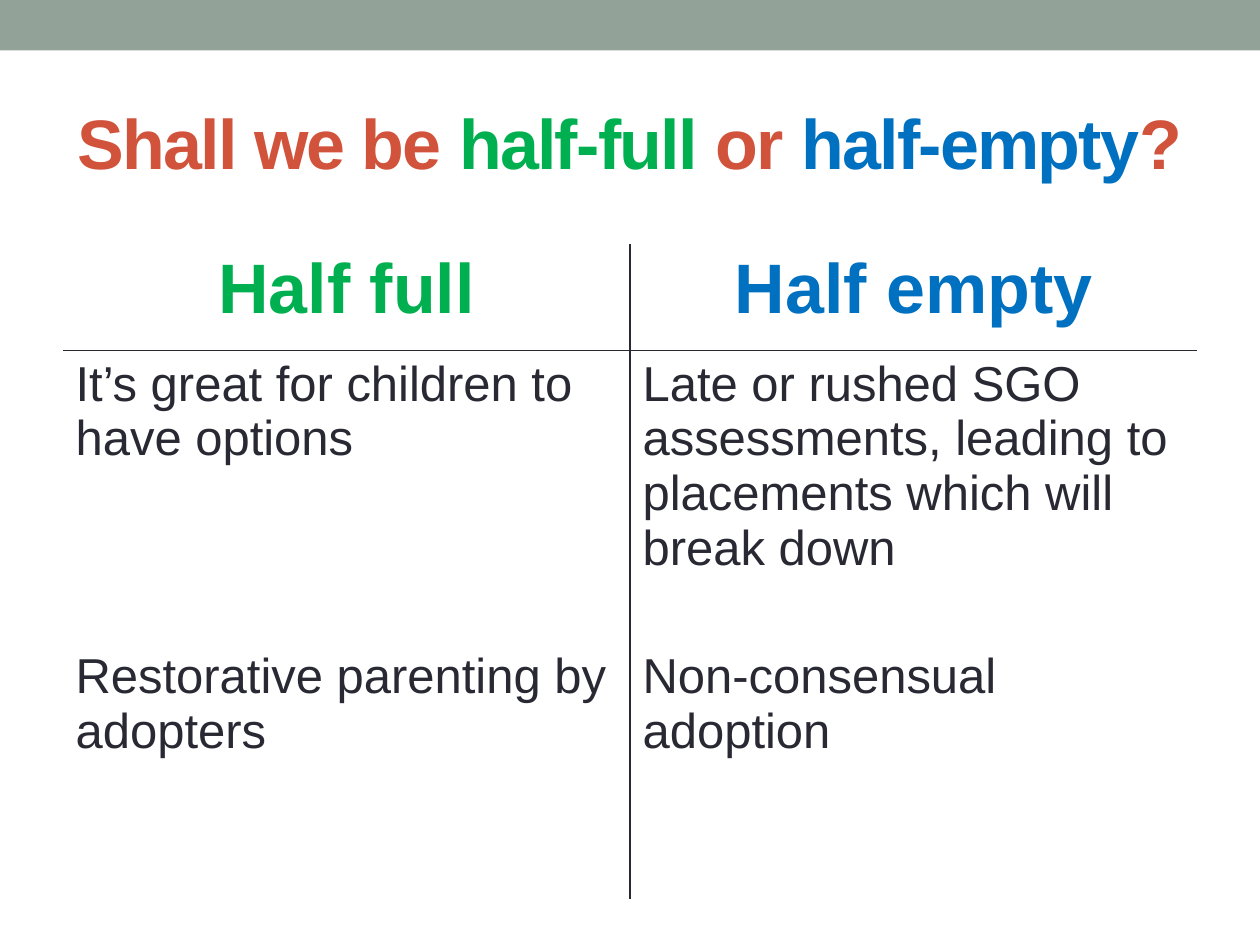
from lxml.etree import SubElement
from pptx import Presentation
from pptx.dml.color import RGBColor
from pptx.enum.shapes import MSO_SHAPE as Shape
from pptx.enum.text import MSO_ANCHOR as Anchor, PP_ALIGN as Align
from pptx.oxml.ns import qn
from pptx.util import Pt

THEME = {
    "font": "Arial", "heading": 40, "body": 28, "line": 1,
    "band": "93A299", "accent": "D2533C", "full": "00B050",
    "empty": "0070C0", "ink": "292934",
}
TITLE = [("Shall we be ", "accent"), ("half-full ", "full"), ("or ", "accent"),
         ("half-empty", "empty"), ("?", "accent")]
HEADINGS = [("Half full", "full"), ("Half empty", "empty")]
ROWS = [
    ("It’s great for children to have options",
     "Late or rushed SGO assessments, leading to placements which will break down"),
    ("Restorative parenting by adopters", "Non-consensual adoption"),
]
PAGE_WIDTH, PAGE_HEIGHT, MARGIN = 720, 540, 36
BAND_HEIGHT = 28.8
TITLE_TOP, TITLE_HEIGHT = 41.76, 77.76
TABLE_TOP = 139.68
ROW_HEIGHTS = [60.7, 167, 146.6]


def add_span(para, text, color="ink", size="body", bold=False, spacing=None):
    span = para.add_run()
    span.text = text
    span.font.name = THEME["font"]
    span.font.size = Pt(THEME[size])
    span.font.bold = bold
    span.font.color.rgb = RGBColor.from_string(THEME[color])
    if spacing is not None:
        span.font._element.set("spc", str(spacing * 100))


def set_borders(cell, sides):
    properties = cell._tc.get_or_add_tcPr()
    for position, side in enumerate("LRTB"):
        line = SubElement(properties, qn(f"a:ln{side}"))
        properties.insert(position, line)
        if side in sides:
            line.set("w", str(Pt(THEME["line"])))
            fill = SubElement(line, qn("a:solidFill"))
            SubElement(fill, qn("a:srgbClr")).set("val", THEME["ink"])
        else:
            SubElement(line, qn("a:noFill"))


def add_band(page):
    band = page.shapes.add_shape(Shape.RECTANGLE, 0, 0, Pt(PAGE_WIDTH), Pt(BAND_HEIGHT))
    band.shadow.inherit = False
    band.fill.solid()
    band.fill.fore_color.rgb = RGBColor.from_string(THEME["band"])
    band.line.fill.background()


def add_title(page, width):
    box = page.shapes.add_textbox(Pt(MARGIN), Pt(TITLE_TOP), Pt(width), Pt(TITLE_HEIGHT))
    frame = box.text_frame
    frame.word_wrap = True
    frame.vertical_anchor = Anchor.MIDDLE
    para = frame.paragraphs[0]
    para.alignment = Align.CENTER
    for text, color in TITLE:
        add_span(para, text, color=color, size="heading", bold=True, spacing=-1)


def add_comparison(page, width):
    table = page.shapes.add_table(
        len(ROW_HEIGHTS), len(HEADINGS), Pt(MARGIN), Pt(TABLE_TOP),
        Pt(width), Pt(sum(ROW_HEIGHTS))).table
    table.horz_banding = False
    for row, height in zip(table.rows, ROW_HEIGHTS):
        row.height = Pt(height)
    for column, (heading, color) in enumerate(HEADINGS):
        table.columns[column].width = Pt(width / len(HEADINGS))
        texts = [heading] + [row[column] for row in ROWS]
        for row, text in enumerate(texts):
            cell = table.cell(row, column)
            cell.fill.background()
            set_borders(cell, "RL"[column] + {0: "B", 1: "T"}.get(row, ""))
            para = cell.text_frame.paragraphs[0]
            if row == 0:
                para.alignment = Align.CENTER
                add_span(para, text, color=color, size="heading", bold=True)
            else:
                add_span(para, text)


def main():
    """Build the half-full or half-empty comparison slide."""
    deck = Presentation()
    deck.slide_width, deck.slide_height = Pt(PAGE_WIDTH), Pt(PAGE_HEIGHT)
    page = deck.slides.add_slide(deck.slide_layouts[6])
    width = PAGE_WIDTH - 2 * MARGIN
    add_band(page)
    add_title(page, width)
    add_comparison(page, width)
    deck.save("out.pptx")


if __name__ == "__main__":
    main()
